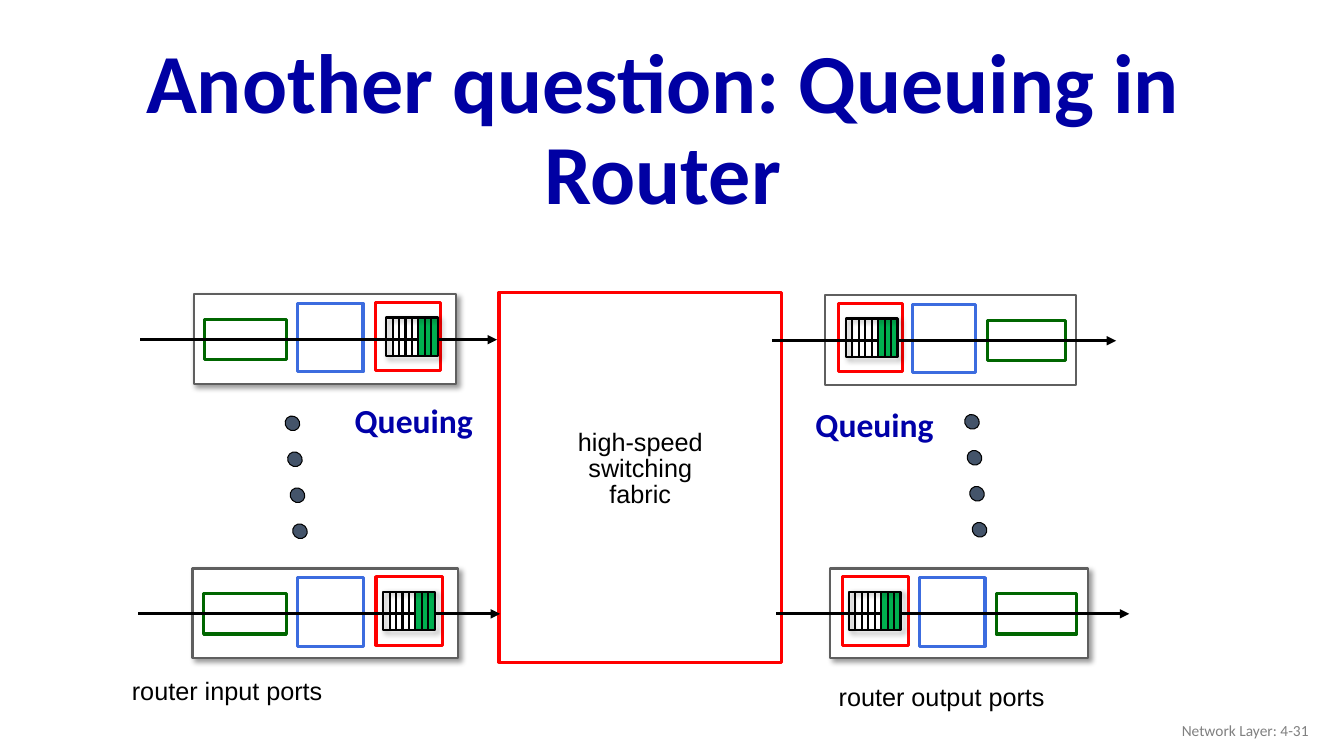
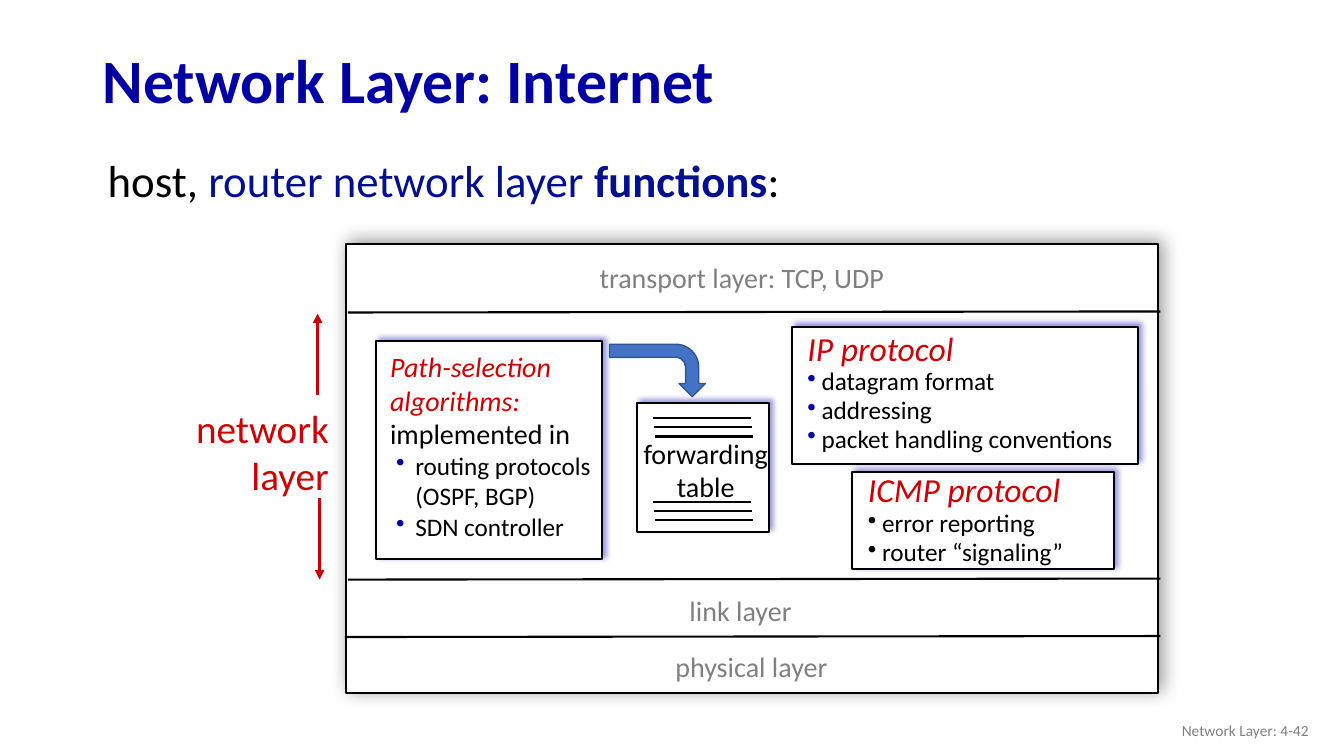
from lxml import etree
from pptx import Presentation
from pptx.dml.color import RGBColor
from pptx.enum.shapes import MSO_CONNECTOR, MSO_SHAPE
from pptx.enum.text import MSO_ANCHOR, PP_ALIGN
from pptx.oxml.ns import qn
from pptx.util import Inches, Pt

RECTANGLE, ELLIPSE, BENT_ARROW = MSO_SHAPE.RECTANGLE, MSO_SHAPE.OVAL, MSO_SHAPE.BENT_ARROW
LINE = MSO_CONNECTOR.STRAIGHT
LEFT, CENTER, RIGHT = PP_ALIGN.LEFT, PP_ALIGN.CENTER, PP_ALIGN.RIGHT
TOP, MIDDLE = MSO_ANCHOR.TOP, MSO_ANCHOR.MIDDLE

COLORS = {
    "white": "FFFFFF", "black": "000000", "gray": "808080", "frame": "5F5F5F",
    "title": "0000A3", "label": "0000A8", "navy": "010F90", "crimson": "CC0000",
    "red": "FF0000", "blue": "3C6CDF", "green": "006600", "queue": "00B050",
    "dot": "44546A", "arrow": "4472C4", "arrow edge": "325491",
}
# Shadows: colour, blur in points, direction in degrees
PORT_SHADOW = ("black", 4, 45)
STACK_SHADOW = ("black", 13, 315)
CARD_SHADOW = ("title", 4, 315)

# All places are left, top, width, height in columns and rows of this grid
CELL = Inches(0.1)


def draw(slide, kind, place, fill=None, line="black", weight=1.5, shadow=None, arrowhead=False):
    left, top, width, height = (round(length * CELL) for length in place)
    if kind is LINE:
        shape = slide.shapes.add_connector(kind, left, top, left + width, top + height)
    else:
        shape = slide.shapes.add_shape(kind, left, top, width, height)
        if fill:
            shape.fill.solid()
            shape.fill.fore_color.rgb = RGBColor.from_string(COLORS[fill])
        else:
            shape.fill.background()
    if line:
        shape.line.color.rgb = RGBColor.from_string(COLORS[line])
        shape.line.width = Pt(weight)
    else:
        shape.line.fill.background()
    properties = shape._element.spPr
    if arrowhead:
        etree.SubElement(properties.find(qn("a:ln")), qn("a:tailEnd"), type="triangle")
    effects = etree.SubElement(properties, qn("a:effectLst"))
    if shadow:
        color, blur, direction = shadow
        outer = etree.SubElement(effects, qn("a:outerShdw"), blurRad=str(Pt(blur)),
                                 dist=str(Pt(3)), dir=str(direction * 60000),
                                 algn="tl", rotWithShape="0")
        tint = etree.SubElement(outer, qn("a:srgbClr"), val=COLORS[color])
        etree.SubElement(tint, qn("a:alpha"), val="40000")
    return shape


def write(slide, place, lines, size, color="black", font="Calibri", bold=False, italic=False,
          align=LEFT, spacing=1.0, anchor=TOP, bullets=(), bullet_color="black",
          indent=(0.14, 0.14), bullet_spacing=0.95):
    """A line is a string, or a list of runs: text, colour, bold, italic."""
    box = slide.shapes.add_textbox(*(round(length * CELL) for length in place))
    frame = box.text_frame
    frame.word_wrap = True
    frame.vertical_anchor = anchor
    for number, line in enumerate([*lines, *bullets]):
        paragraph = frame.paragraphs[0] if number == 0 else frame.add_paragraph()
        is_bullet = number >= len(lines)
        paragraph.alignment = align
        paragraph.line_spacing = bullet_spacing if is_bullet else spacing
        if is_bullet:
            settings = paragraph._p.get_or_add_pPr()
            settings.set("marL", str(Inches(indent[0])))
            settings.set("indent", str(-Inches(indent[1])))
            tint = etree.SubElement(settings, qn("a:buClr"))
            etree.SubElement(tint, qn("a:srgbClr"), val=COLORS[bullet_color])
            etree.SubElement(settings, qn("a:buChar"), char="•")
        paragraph.font.name = font
        paragraph.font.size = Pt(18 if is_bullet else size)
        if isinstance(line, list):
            for text, run_color, run_bold, run_italic in line:
                run = paragraph.add_run()
                run.text = text
                run.font.color.rgb = RGBColor.from_string(COLORS[run_color])
                run.font.bold, run.font.italic = run_bold, run_italic
        else:
            paragraph.text = line
            paragraph.font.color.rgb = RGBColor.from_string(COLORS["black" if is_bullet else color])
            paragraph.font.bold = bold
            paragraph.font.italic = italic and not is_bullet


presentation = Presentation()
presentation.slide_width, presentation.slide_height = Inches(13.33), Inches(7.5)

# Titles and footers
slides = []
for title, place, size, align, page in [
    ("Another question: Queuing in Router", (5, 2.8, 121.5, 20.6), 60, CENTER, 31),
    ("Network Layer: Internet", (9.2, 3.4, 115, 9.8), 44, LEFT, 42),
]:
    slide = presentation.slides.add_slide(presentation.slide_layouts[6])
    write(slide, place, [title], size, "title", bold=True, align=align, spacing=0.9, anchor=MIDDLE)
    write(slide, (100.8, 70.5, 30, 4), [f"Network Layer: 4-{page}"], 11, "gray",
          align=RIGHT, anchor=MIDDLE)
    slides.append(slide)
queuing_slide, internet_slide = slides

# Switching fabric
draw(queuing_slide, RECTANGLE, (49.5, 29, 28, 36.7), "white", "red", 2.25)
write(queuing_slide, (51.4, 42.3, 24.2, 12.5), ["high-speed", "switching", "fabric"], 18,
      font="Arial", align=CENTER, spacing=0.85)

# Ports: top, shadow, queue left, then left and width of each part
QUEUE_CELL, QUEUE_HEIGHT = 0.64, 3.8
for top, shadow, queue_left, frame, green, blue, red, arrow in [
    (29.2, PORT_SHADOW, 38.3, (19.2, 26), (20.3, 8.1), (29.5, 6.5), (37.2, 6.5), (13.9, 35.4)),
    (56.4, PORT_SHADOW, 38, (19.1, 26.3), (20.2, 8.2), (29.5, 6.6), (37.3, 6.6), (13.7, 35.9)),
    (29.3, None, 83.9, (81.8, 24.9), (97.9, 7.8), (90.5, 6.3), (83.2, 6.3), (76.6, 34.1)),
    (56.4, PORT_SHADOW, 84.2, (82.3, 25.6), (98.8, 8), (91.2, 6.5), (83.6, 6.5), (77, 35)),
]:
    draw(queuing_slide, RECTANGLE, (frame[0], top, frame[1], 8.9), "white", "frame", shadow=shadow)
    for (left, width), color, offset, height in [
        (green, "green", 2.5, 4), (blue, "blue", 0.9, 6.8), (red, "red", 0.8, 6.8),
    ]:
        draw(queuing_slide, RECTANGLE, (left, top + offset, width, height), "white", color, 2.25)
    draw(queuing_slide, LINE, (arrow[0], top + 4.5, arrow[1], 0), weight=2.25, arrowhead=True)

    # Queue of eight cells, the last three filled
    queue_top = top + 2.3
    draw(queuing_slide, RECTANGLE,
         (queue_left + 5 * QUEUE_CELL, queue_top, 3 * QUEUE_CELL, QUEUE_HEIGHT), "queue", None)
    draw(queuing_slide, RECTANGLE, (queue_left, queue_top, 8 * QUEUE_CELL, QUEUE_HEIGHT),
         shadow=PORT_SHADOW)
    for cell in range(1, 8):
        draw(queuing_slide, LINE, (queue_left + cell * QUEUE_CELL, queue_top, 0, QUEUE_HEIGHT))

# Dots between the ports
for left, top in [(28.25, 41.3), (95.65, 41.15)]:
    for step in range(4):
        dot = draw(queuing_slide, ELLIPSE, (left + 0.25 * step, top + 3.57 * step, 1.5, 1.4),
                   "dot", weight=0.75)
        dot.rotation = 44.3

# Port labels
for text, place in [("router input ports", (12.1, 66.5, 33.3, 5.7)),
                    ("router output ports", (82.2, 67.1, 35.7, 5.7))]:
    write(queuing_slide, place, [text], 18, font="Arial")
for left, top in [(34.2, 39.2), (79.9, 39.6)]:
    write(queuing_slide, (left, top, 14, 5), ["Queuing"], 24, "label", bold=True)

# Layer stack
write(internet_slide, (9.7, 15.5, 82.4, 4.8), [[
    ("host, ", "black", False, False), ("router network layer ", "navy", False, False),
    ("functions", "navy", True, False), (":", "black", False, False),
]], 32, spacing=0.85)
draw(internet_slide, RECTANGLE, (34.3, 24.2, 80.6, 44.6), "white", shadow=STACK_SHADOW)
for left, top in [(34.5, 31), (34.5, 57.5), (34.2, 63.2)]:
    draw(internet_slide, LINE, (left, top, 115.1 - left, -0.1))
for text, left, top in [("transport layer: TCP, UDP", 58.5, 25.4),
                        ("link layer", 67.4, 58.4), ("physical layer", 66, 63.9)]:
    write(internet_slide, (left, top, 31, 4.4), [text], 20, "gray")

# Extent of the network layer
write(internet_slide, (15.6, 39.6, 18, 10.4), ["network", "layer"], 28, "crimson", align=RIGHT)
for left, top, height in [(31.5, 39.2, -8.1), (31.7, 49.4, 8.1)]:
    draw(internet_slide, LINE, (left, top, 0, height), line="crimson", weight=2.25, arrowhead=True)

# Protocol and algorithm cards
for place in [(78.6, 32.4, 34.3, 13.6), (84.5, 46.8, 26, 9.7),
              (63.2, 40, 13.1, 12.8), (37.3, 33.8, 22.4, 21.7)]:
    draw(internet_slide, RECTANGLE, place, "white", shadow=CARD_SHADOW)
write(internet_slide, (79.1, 32, 33.8, 13.7), ["IP protocol"], 24, "crimson", italic=True,
      bullets=["datagram format", "addressing", "packet handling conventions"],
      bullet_color="title")
write(internet_slide, (85.1, 46.3, 26.9, 10.6), ["ICMP protocol"], 24, "crimson", italic=True,
      spacing=0.95, bullets=["error reporting", "router “signaling”"])
write(internet_slide, (37.7, 34.2, 23.2, 20.2), [[
    ("Path-selection algorithms: ", "crimson", False, True),
    ("implemented in", "black", False, False),
]], 20, bullets=["routing protocols (OSPF, BGP)", "SDN controller"], bullet_color="title",
    indent=(0.25, 0.19), bullet_spacing=1.0)

# Forwarding table
write(internet_slide, (61.5, 42.8, 17, 7.7), ["forwarding", "table"], 20, align=CENTER)
for top in (41.5, 49.8):
    for row in range(3):
        draw(internet_slide, LINE, (64.8 + 0.1 * row, top + 0.9 * row, 9.7, 0))
bent_arrow = draw(internet_slide, BENT_ARROW, (62.6, 32, 5.2, 9.5), "arrow", "arrow edge", 1)
bent_arrow.rotation = 90

presentation.save("out.pptx")
